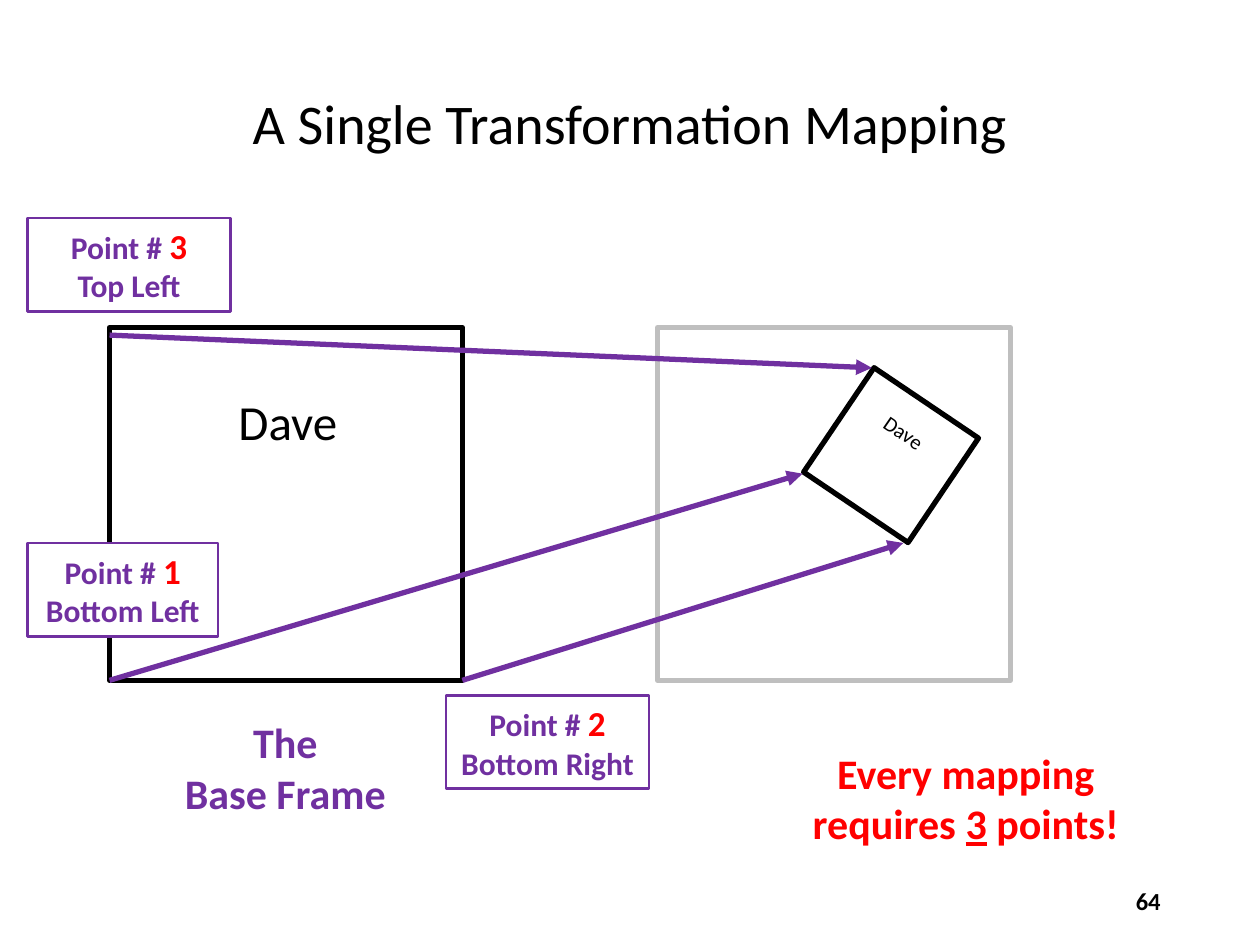
import pptx
import pptx.dml.color
import pptx.enum.shapes
import pptx.enum.text
import pptx.oxml
import pptx.oxml.ns
import pptx.util
from lxml import etree

Pt = pptx.util.Pt
RGBColor = pptx.dml.color.RGBColor
Align = pptx.enum.text.PP_ALIGN
Anchor = pptx.enum.text.MSO_ANCHOR

BLACK = RGBColor(0x00, 0x00, 0x00)
WHITE = RGBColor(0xFF, 0xFF, 0xFF)
GRAY = RGBColor(0xBF, 0xBF, 0xBF)
PURPLE = RGBColor(0x70, 0x30, 0xA0)
RED = RGBColor(0xFF, 0x00, 0x00)

# A paragraph is a list of (text, font values); a box is (left, top, width, height).
TITLE = [[("A Single Transformation Mapping", {"size": 32})]]
BASE_CAPTION = [[(line, {"size": 24, "bold": True, "color": PURPLE})]
                for line in ("The", "Base Frame")]
RULE_FORMAT = {"size": 24, "bold": True, "color": RED}
RULE = [[("Every mapping requires ", RULE_FORMAT),
         ("3", RULE_FORMAT | {"underline": True}),
         (" points!", RULE_FORMAT)]]
PAGE_NUMBER = [[("64", {"size": 14, "bold": True})]]

FRAME_SIZE = 201.6
FRAME_TOP = 187.2
BASE_LEFT = 62.6
TARGET_LEFT = 375.8
BASE_RIGHT = BASE_LEFT + FRAME_SIZE
FRAME_BOTTOM = FRAME_TOP + FRAME_SIZE

# (point number, corner name, label box, arrow start, arrow end)
MAPPINGS = [
    ("3", "Top Left", (15.8, 124.6, 115.9, 53.3),
     (BASE_LEFT, 191.5), (498.2, 210.2)),
    ("1", "Bottom Left", (15.8, 310.3, 108.7, 53.3),
     (BASE_LEFT, FRAME_BOTTOM), (458.6, 270.7)),
    ("2", "Bottom Right", (254.9, 397.4, 115.9, 53.3),
     (BASE_RIGHT, FRAME_BOTTOM), (516.2, 310.3)),
]


def write(frame, paragraphs, align=Align.CENTER, anchor=Anchor.TOP, spacing=None):
    frame.word_wrap = True
    frame.vertical_anchor = anchor
    for index, spans in enumerate(paragraphs):
        para = frame.paragraphs[0] if index == 0 else frame.add_paragraph()
        para.alignment = align
        if spacing:
            para.line_spacing = spacing
        for text, values in spans:
            span = para.add_run()
            span.text = text
            span.font.name = "Calibri"
            for name, value in ({"color": BLACK} | values).items():
                if name == "color":
                    span.font.color.rgb = value
                else:
                    setattr(span.font, name, Pt(value) if name == "size" else value)


def add_text(page, place, paragraphs, rotation=0, **layout):
    box = page.shapes.add_textbox(*map(Pt, place))
    box.rotation = rotation
    write(box.text_frame, paragraphs, **layout)


def add_rectangle(page, place, color, width=3, fill=None, rotation=0):
    rectangle = page.shapes.add_shape(
        pptx.enum.shapes.MSO_SHAPE.RECTANGLE, *map(Pt, place))
    rectangle.shadow.inherit = False
    rectangle.rotation = rotation
    if fill is None:
        rectangle.fill.background()
    else:
        rectangle.fill.solid()
        rectangle.fill.fore_color.rgb = fill
    rectangle.line.color.rgb = color
    rectangle.line.width = Pt(width)
    return rectangle


def add_arrow(page, start, end):
    arrow = page.shapes.add_connector(
        pptx.enum.shapes.MSO_CONNECTOR.STRAIGHT, *map(Pt, start + end))
    arrow.line.color.rgb = PURPLE
    arrow.line.width = Pt(3)
    qn = pptx.oxml.ns.qn
    properties = arrow.element.spPr
    etree.SubElement(properties.find(qn("a:ln")), qn("a:tailEnd"), type="triangle")
    etree.SubElement(properties, qn("a:effectLst"))


def add_mapping(page, number, corner, place, start, end):
    add_arrow(page, start, end)
    label = add_rectangle(page, place, PURPLE, width=1.5, fill=WHITE)
    plain = {"size": 18, "bold": True, "color": PURPLE}
    write(label.text_frame, [
        [("Point # ", plain), (number, plain | {"size": 20, "color": RED})],
        [(corner, plain)],
    ])


def main():
    deck = pptx.Presentation()
    deck.slide_width, deck.slide_height = Pt(720), Pt(540)
    page = deck.slides.add_slide(deck.slide_layouts[6])

    add_text(page, (49.7, 28.8, 620.6, 87.1), TITLE,
             anchor=Anchor.MIDDLE, spacing=0.9)
    add_text(page, (95, 406.1, 136.1, 65.5), BASE_CAPTION)

    add_rectangle(page, (BASE_LEFT, FRAME_TOP, FRAME_SIZE, FRAME_SIZE), BLACK)
    add_text(page, (127.4, 220.3, 74.2, 41), [[("Dave", {"size": 28})]])

    add_rectangle(page, (TARGET_LEFT, FRAME_TOP, FRAME_SIZE, FRAME_SIZE), GRAY)
    add_rectangle(page, (473.2, 224.1, 72, 72), BLACK, rotation=34)
    add_text(page, (491, 236.2, 51.1, 21.6), [[("Dave", {"size": 12})]],
             rotation=34.5)

    for mapping in MAPPINGS:
        add_mapping(page, *mapping)

    add_text(page, (437.8, 423.4, 228.2, 65.5), RULE)
    add_text(page, (508.3, 500.4, 162, 28.8), PAGE_NUMBER,
             align=Align.RIGHT, anchor=Anchor.MIDDLE)
    deck.save("out.pptx")


if __name__ == "__main__":
    main()
